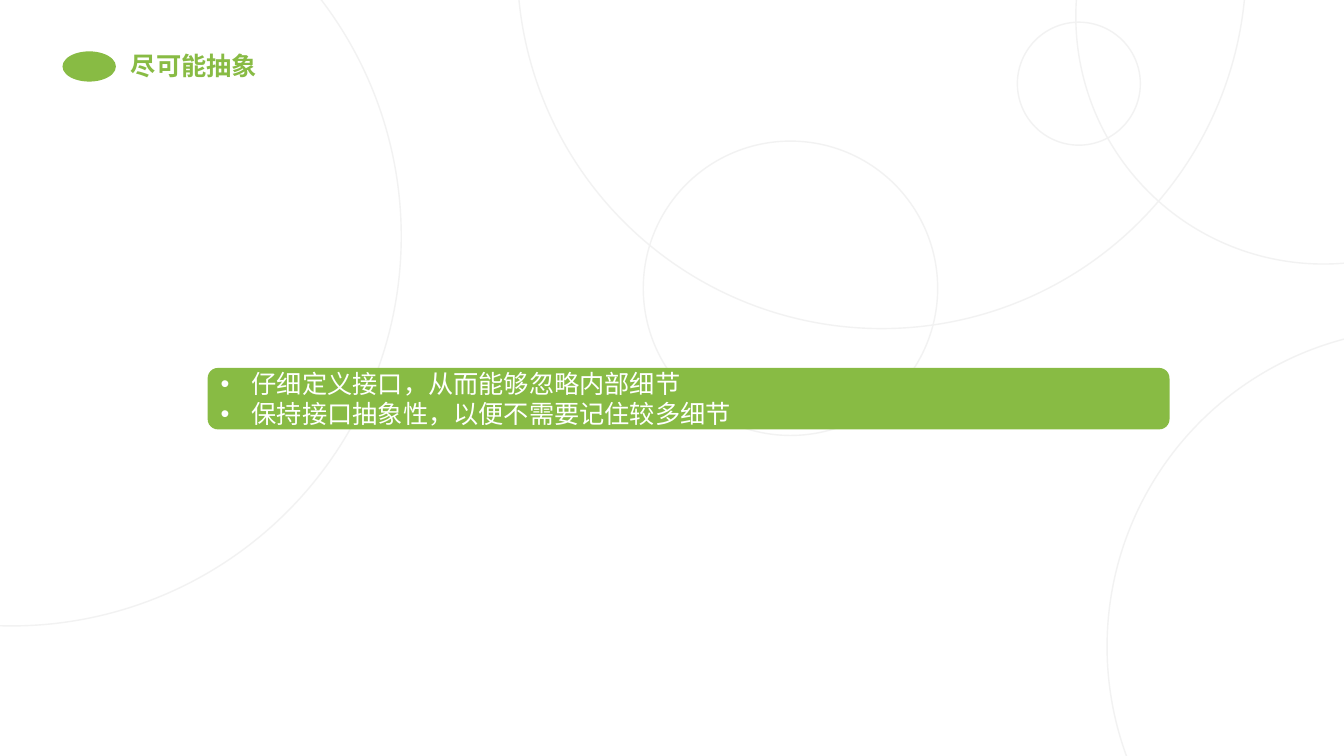
"""Builds a slide on abstraction: a title and a bulleted green bar over pale rings."""
from lxml import etree
from pptx import Presentation
from pptx.dml.color import RGBColor
from pptx.enum import shapes, text
from pptx.oxml import ns
from pptx.util import Inches, Pt

TITLE = "尽可能抽象"
POINTS = ["仔细定义接口，从而能够忽略内部细节", "保持接口抽象性，以便不需要记住较多细节"]
GREEN, WHITE, PALE = "88BB44", "FFFFFF", "F2F2F2"
BACK_RINGS = [(10.98, 3.26, 6.31), (5.13, -3.97, 7.23), (6.38, 1.4, 2.92), (-3.75, -1.52, 7.73)]
FRONT_RINGS = [(10.67, -2.29, 4.91), (10.09, 0.22, 1.22)]
BAR = (2.06, 3.65, 9.54, 0.61)
TITLE_BOX = (1.2, 0.45, 2.58, 0.4)
EMBLEM = (0.62, 0.51, 0.53, 0.3)
BULLET_INDENT = 0.31


def color(hex_value):
    return RGBColor.from_string(hex_value)


def add_preset(slide, preset, box, fill=None, line=None):
    shape = slide.shapes.add_shape(preset, *map(Inches, box))
    shape.shadow.inherit = False
    if fill:
        shape.fill.solid()
        shape.fill.fore_color.rgb = color(fill)
    else:
        shape.fill.background()
    if line:
        shape.line.color.rgb = color(line)
        shape.line.width = Pt(1)
    else:
        shape.line.fill.background()
    return shape


def add_rings(slide, rings):
    for left, top, size in rings:
        add_preset(slide, shapes.MSO_SHAPE.OVAL, (left, top, size, size), line=PALE)


def style(paragraph, font_name, hex_value, bold=False):
    font = paragraph.font
    font.name, font.size, font.bold = font_name, Pt(18), bold
    font.color.rgb = color(hex_value)


def add_bullet(paragraph):
    properties = paragraph._p.get_or_add_pPr()
    properties.set("marL", str(Inches(BULLET_INDENT)))
    properties.set("indent", str(-Inches(BULLET_INDENT)))
    bullet_font = etree.Element(ns.qn("a:buFont"), typeface="Arial")
    bullet = etree.Element(ns.qn("a:buChar"), char="•")
    properties.insert(0, bullet_font)
    properties.insert(1, bullet)


def add_bar(slide):
    bar = add_preset(slide, shapes.MSO_SHAPE.ROUNDED_RECTANGLE, BAR, fill=GREEN)
    frame = bar.text_frame
    frame.word_wrap = True
    frame.vertical_anchor = text.MSO_ANCHOR.MIDDLE
    frame.text = "\n".join(POINTS)
    for point in frame.paragraphs:
        point.alignment = text.PP_ALIGN.JUSTIFY
        style(point, "Calibri", WHITE)
        add_bullet(point)


def add_title(slide):
    title = slide.shapes.add_textbox(*map(Inches, TITLE_BOX)).text_frame
    title.word_wrap = True
    title.auto_size = text.MSO_AUTO_SIZE.SHAPE_TO_FIT_TEXT
    title.text = TITLE
    style(title.paragraphs[0], "Roboto", GREEN, bold=True)


def main():
    deck = Presentation()
    deck.slide_width, deck.slide_height = Inches(13.33), Inches(7.5)
    slide = deck.slides.add_slide(deck.slide_layouts[6])
    add_rings(slide, BACK_RINGS)
    add_bar(slide)
    add_title(slide)
    add_preset(slide, shapes.MSO_SHAPE.OVAL, EMBLEM, fill=GREEN)
    add_rings(slide, FRONT_RINGS)
    deck.save("out.pptx")


if __name__ == "__main__":
    main()
